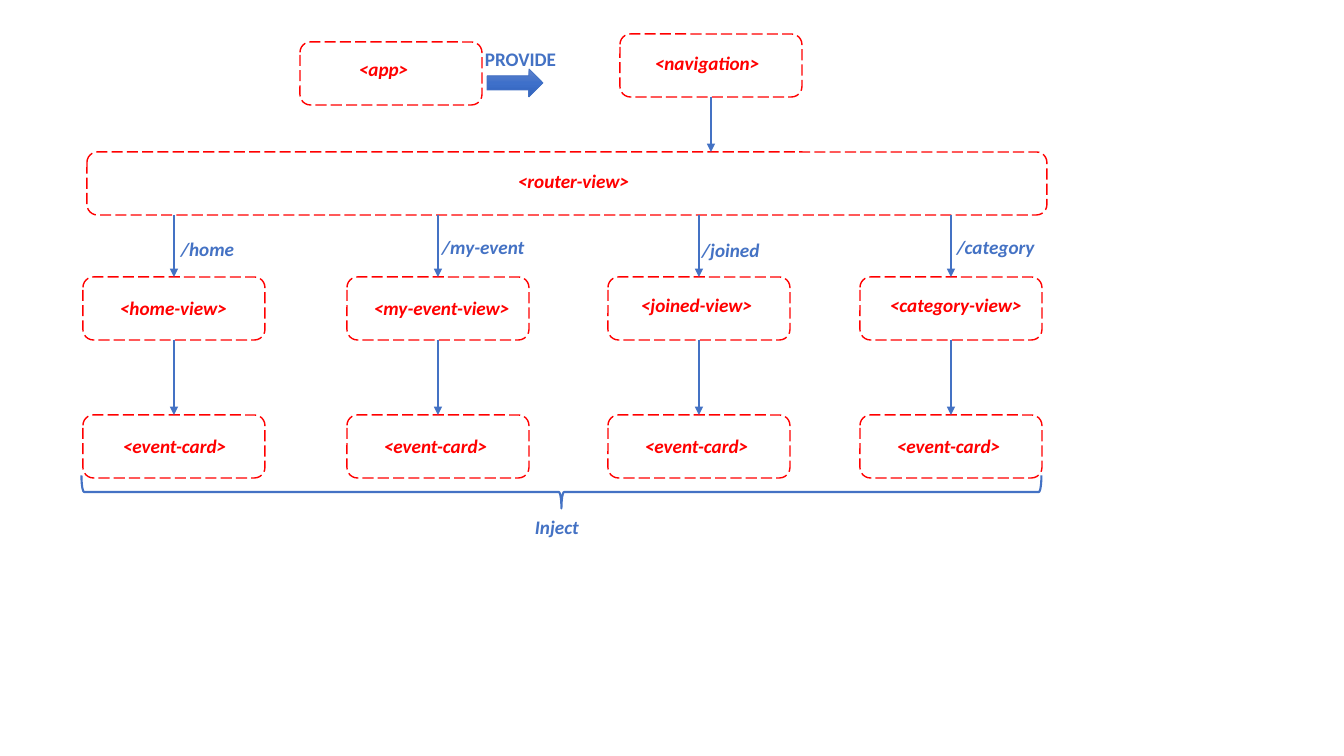
import copy

from pptx import Presentation, util as u
from pptx.dml.color import RGBColor
from pptx.enum import dml, shapes, text
from pptx.oxml.ns import qn

SCALE = 914400 / 100.8
RED, BLUE = "FF0000", "4472C4"
BOX_WIDTH, BOX_HEIGHT, LABEL_HEIGHT = 182, 63, 33


def px(*lengths):
    return [u.Emu(round(length * SCALE)) for length in lengths]


def add_label(words, left, top, width, color=RED, italic=True):
    label = slide.shapes.add_textbox(*px(left, top, width, LABEL_HEIGHT))
    label.text_frame.word_wrap = False
    label.text_frame.auto_size = text.MSO_AUTO_SIZE.SHAPE_TO_FIT_TEXT
    run = label.text_frame.paragraphs[0].add_run()
    run.text = words
    run.font.name, run.font.size = "Calibri", u.Pt(13.7)
    run.font.bold, run.font.italic = True, italic
    run.font.color.rgb = RGBColor.from_string(color)


presentation = Presentation()
presentation.slide_width, presentation.slide_height = px(1344, 756)
slide = presentation.slides.add_slide(presentation.slide_layouts[6])

# Columns: box left, route, route place, view, view place, card label left
columns = [
    (83, "/home", (171, 232, 75), "<home-view>", (110, 291, 129), 113),
    (347, "/my-event", (432, 230, 104), "<my-event-view>", (364, 291, 159), 374),
    (608, "/joined", (692, 233, 79), "<joined-view>", (631, 288, 134), 635),
    (860, "/category", (947, 230, 99), "<category-view>", (880, 288, 154), 887),
]
boxes = [(300, 42, BOX_WIDTH), (620, 34, BOX_WIDTH), (87, 152, 960)]
arrows = [(711, 97, 152)]
labels = [
    ("<app>", 349, 52, 71),
    ("<navigation>", 645, 46, 127),
    ("<router-view>", 508, 164, 134),
    ("PROVIDE", 475, 42, 93, BLUE, False),
    ("Inject", 525, 510, 65, BLUE),
]
for left, route, route_place, view, view_place, card_left in columns:
    boxes += [(left, top, BOX_WIDTH) for top in (277, 415)]
    middle = left + BOX_WIDTH / 2
    arrows += [(middle, 215, 277), (middle, 340, 415)]
    labels += [
        (route, *route_place, BLUE),
        (view, *view_place),
        ("<event-card>", card_left, 429, 126),
    ]

# Dashed component boxes
for left, top, width in boxes:
    box = slide.shapes.add_shape(
        shapes.MSO_SHAPE.ROUNDED_RECTANGLE, *px(left, top, width, BOX_HEIGHT))
    box.shadow.inherit = False
    box.fill.background()
    box.line.color.rgb = RGBColor.from_string(RED)
    box.line.width = u.Pt(1)
    box.line.dash_style = dml.MSO_LINE.LONG_DASH

# Arrows between the levels
for x, start, end in arrows:
    arrow = slide.shapes.add_connector(
        shapes.MSO_CONNECTOR.STRAIGHT, *px(x, start, x, end))
    arrow.line.color.rgb = RGBColor.from_string(BLUE)
    arrow.line.width = u.Pt(1.5)
    line = arrow.line._get_or_add_ln()
    line.append(line.makeelement(qn("a:tailEnd"), {"type": "triangle"}))
    properties = arrow._element.spPr
    properties.append(properties.makeelement(qn("a:effectLst"), {}))

# Provide arrow with a three-stop gradient
provide = slide.shapes.add_shape(
    shapes.MSO_SHAPE.RIGHT_ARROW, *px(487, 69, 56, 28))
provide.shadow.inherit = False
provide.fill.gradient()
provide.fill.gradient_angle = 270
first_stop = provide._element.spPr.find(".//" + qn("a:gs"))
first_stop.addnext(copy.deepcopy(first_stop))
stops = zip(provide.fill.gradient_stops, (0, 0.5, 1),
            ("6183CB", "3E70CA", "3062BB"))
for stop, position, color in stops:
    stop.position = position
    stop.color.rgb = RGBColor.from_string(color)
provide.line.color.rgb = RGBColor.from_string(BLUE)
provide.line.width = u.Pt(0.5)

# Inject brace under the cards
brace = slide.shapes.add_shape(
    shapes.MSO_SHAPE.LEFT_BRACE, *px(545, 12, 33, 960))
brace.rotation = 270
brace.adjustments[0], brace.adjustments[1] = 0.08, 0.5
brace.shadow.inherit = False
brace.fill.background()
brace.line.color.rgb = RGBColor.from_string(BLUE)
brace.line.width = u.Pt(1.5)

# Labels
for label in labels:
    add_label(*label)

presentation.save("out.pptx")
